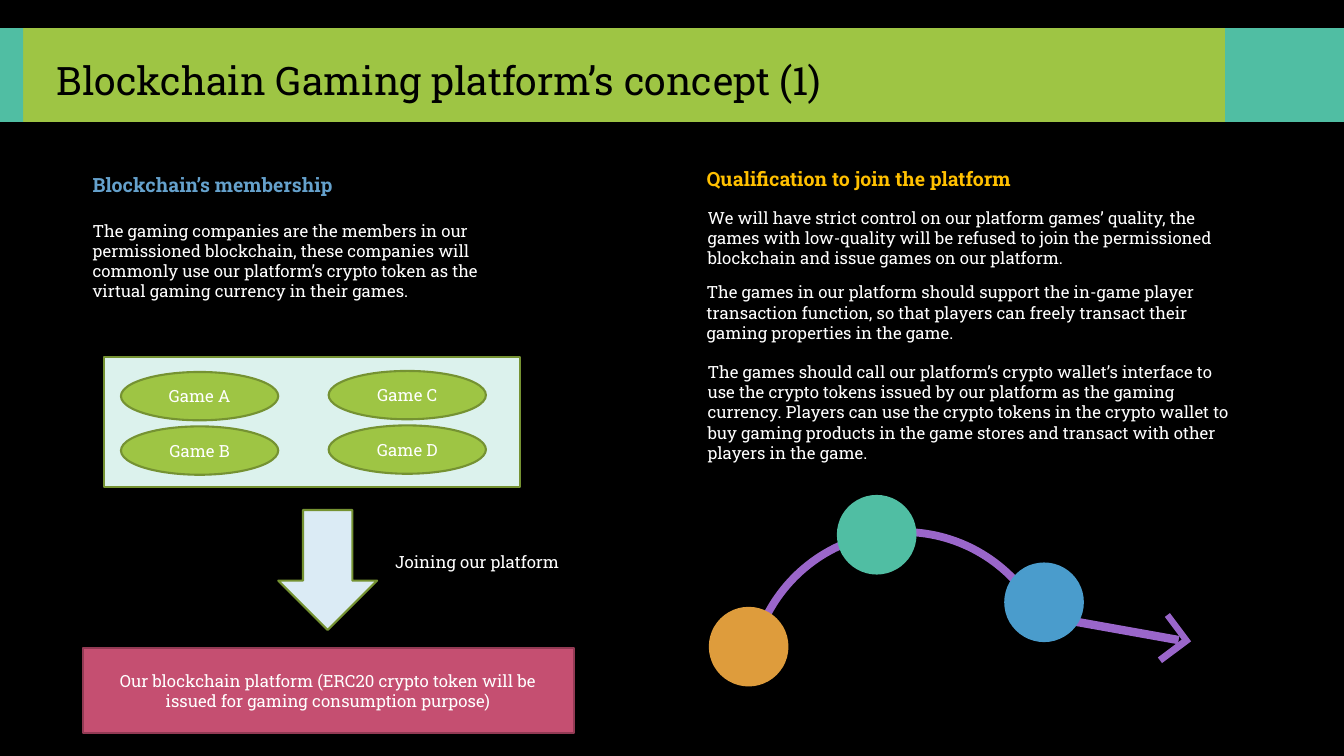
from dataclasses import dataclass

from lxml.etree import SubElement
from pptx import Presentation
from pptx.dml.color import RGBColor
from pptx.enum.shapes import MSO_CONNECTOR, MSO_SHAPE
from pptx.enum.text import MSO_ANCHOR, MSO_AUTO_SIZE, PP_ALIGN
from pptx.oxml.ns import qn
from pptx.util import Inches, Pt


@dataclass(frozen=True)
class Theme:
    font: str = "Roboto Slab"
    black: str = "000000"
    white: str = "FFFFFF"
    teal: str = "50BEA3"
    green: str = "9EC544"
    dark_green: str = "759232"
    mint: str = "DCF2ED"
    pale_blue: str = "DBEBF5"
    rose: str = "C54F71"
    dark_rose: str = "923A54"
    purple: str = "9A66CA"
    blue: str = "4A9CCC"
    orange: str = "DE9C3C"
    heading_blue: str = "65A1CC"
    heading_gold: str = "FFC000"
    title_size: float = 28
    heading_size: float = 14
    body_size: float = 12
    outline: float = 1.5
    path_width: float = 6


T = Theme()


@dataclass(frozen=True)
class Block:
    """A filled preset shape, optionally outlined, turned and labelled."""
    kind: MSO_SHAPE
    left: float
    top: float
    width: float
    height: float
    fill: str
    line: str = ""
    text: str = ""
    rotation: float = 0
    adjustments: tuple[float, ...] = ()


@dataclass(frozen=True)
class Note:
    left: float
    top: float
    width: float
    height: float
    text: str
    color: str = T.white
    size: float = T.body_size
    bold: bool = False


BANDS = [
    Block(MSO_SHAPE.RECTANGLE, left, 0.28, width, 0.93, fill)
    for left, width, fill in [(12.15, 1.18, T.teal), (0, 12.15, T.green), (0, 0.23, T.teal)]
]

GAMES = [
    Block(MSO_SHAPE.OVAL, left, top + row * 0.54, 1.56, 0.48, T.green, T.dark_green, f"Game {letter}")
    for left, top, letters in [(1.2, 3.69, "AB"), (3.26, 3.68, "CD")]
    for row, letter in enumerate(letters)
]

MEMBERSHIP = [
    Block(MSO_SHAPE.RECTANGLE, 1.03, 3.54, 4.13, 1.29, T.mint, T.dark_green),
    Block(MSO_SHAPE.RECTANGLE, 0.82, 6.43, 4.87, 0.84, T.rose, T.dark_rose,
          "Our blockchain platform (ERC20 crypto token will be issued for gaming consumption purpose)"),
    *GAMES,
    Block(MSO_SHAPE.DOWN_ARROW, 2.76, 5.06, 0.98, 1.19, T.pale_blue, T.dark_green),
]

JOURNEY = [
    Block(MSO_SHAPE.BLOCK_ARC, 7.4, 5.24, 3.11, 3.1, T.purple,
          rotation=335, adjustments=(128.16, 215.48, 0.025)),
    *[Block(MSO_SHAPE.OVAL, left, top, 0.79, 0.79, fill)
      for left, top, fill in [(9.96, 5.58, T.blue), (7.03, 6.02, T.orange), (8.3, 4.91, T.teal)]],
    Block(MSO_SHAPE.CORNER, 11.39, 6.15, 0.35, 0.36, T.purple,
          rotation=233.2, adjustments=(0.18, 0.2)),
]

NOTES = [
    Note(0.82, 1.67, 5.39, 0.34, "Blockchain’s membership", T.heading_blue, T.heading_size, True),
    Note(0.82, 2.14, 4.34, 0.91,
         "The gaming companies are the members in our permissioned blockchain, these companies will "
         "commonly use our platform’s crypto token as the virtual gaming currency in their games."),
    Note(3.82, 5.42, 1.88, 0.3, "Joining our platform"),
    Note(6.91, 1.61, 5.39, 0.34, "Qualification to join the platform",
         T.heading_gold, T.heading_size, True),
    Note(6.92, 2.01, 5.39, 0.71,
         "We will have strict control on our platform games’ quality, the games with low-quality will "
         "be refused to join the permissioned blockchain and issue games on our platform."),
    Note(6.91, 2.75, 5.39, 0.71,
         "The games in our platform should support the in-game player transaction function, so that "
         "players can freely transact their gaming properties in the game."),
    Note(6.92, 3.54, 5.39, 1.11,
         "The games should call our platform’s crypto wallet’s interface to use the crypto tokens "
         "issued by our platform as the gaming currency. Players can use the crypto tokens in the "
         "crypto wallet to buy gaming products in the game stores and transact with other players "
         "in the game."),
]


def rgb(color: str) -> RGBColor:
    return RGBColor.from_string(color)


def write(tf, text: str, size: float, color: str, bold: bool = False,
          align: PP_ALIGN = PP_ALIGN.LEFT) -> None:
    tf.text = text
    tf.word_wrap = True
    p = tf.paragraphs[0]
    p.alignment = align
    font = p.runs[0].font
    font.name, font.size, font.bold = T.font, Pt(size), bold
    font.color.rgb = rgb(color)


def add_block(s, block: Block):
    sp = s.shapes.add_shape(block.kind, Inches(block.left), Inches(block.top),
                            Inches(block.width), Inches(block.height))
    sp.shadow.inherit = False
    sp.rotation = block.rotation
    for i, value in enumerate(block.adjustments):
        sp.adjustments[i] = value
    sp.fill.solid()
    sp.fill.fore_color.rgb = rgb(block.fill)
    if block.line:
        sp.line.color.rgb = rgb(block.line)
        sp.line.width = Pt(T.outline)
    else:
        sp.line.fill.background()
    if block.text:
        sp.text_frame.vertical_anchor = MSO_ANCHOR.MIDDLE
        write(sp.text_frame, block.text, T.body_size, T.white, align=PP_ALIGN.CENTER)
    return sp


def add_note(s, note: Note) -> None:
    tf = s.shapes.add_textbox(Inches(note.left), Inches(note.top),
                              Inches(note.width), Inches(note.height)).text_frame
    write(tf, note.text, note.size, note.color, note.bold)
    tf.auto_size = MSO_AUTO_SIZE.SHAPE_TO_FIT_TEXT


def add_title(s, text: str) -> None:
    """Place the title over the header bands."""
    title = s.shapes.title
    title.left, title.top = Inches(0.46), Inches(0.35)
    title.width, title.height = Inches(9.7), Inches(0.79)
    tf = title.text_frame
    write(tf, text, T.title_size, T.black)
    tf.auto_size = MSO_AUTO_SIZE.NONE
    tf.vertical_anchor = MSO_ANCHOR.MIDDLE
    tf.paragraphs[0].line_spacing = 1.2
    for band in BANDS:
        title.element.addprevious(add_block(s, band).element)


def add_arrow_shaft(s) -> None:
    shaft = s.shapes.add_connector(MSO_CONNECTOR.STRAIGHT, Inches(10.29), Inches(6.1),
                                   Inches(11.69), Inches(6.35))
    shaft.line.color.rgb = rgb(T.purple)
    shaft.line.width = Pt(T.path_width)
    SubElement(shaft.element.spPr, qn("a:effectLst"))


def main() -> None:
    prs = Presentation()
    prs.slide_width, prs.slide_height = Inches(13.33), Inches(7.5)
    s = prs.slides.add_slide(prs.slide_layouts[5])
    s.background.fill.solid()
    s.background.fill.fore_color.rgb = rgb(T.black)

    add_title(s, "Blockchain Gaming platform’s concept (1)")
    for block in MEMBERSHIP:
        add_block(s, block)
    add_arrow_shaft(s)
    for block in JOURNEY:
        add_block(s, block)
    for note in NOTES:
        add_note(s, note)
    prs.save("out.pptx")


if __name__ == "__main__":
    main()
